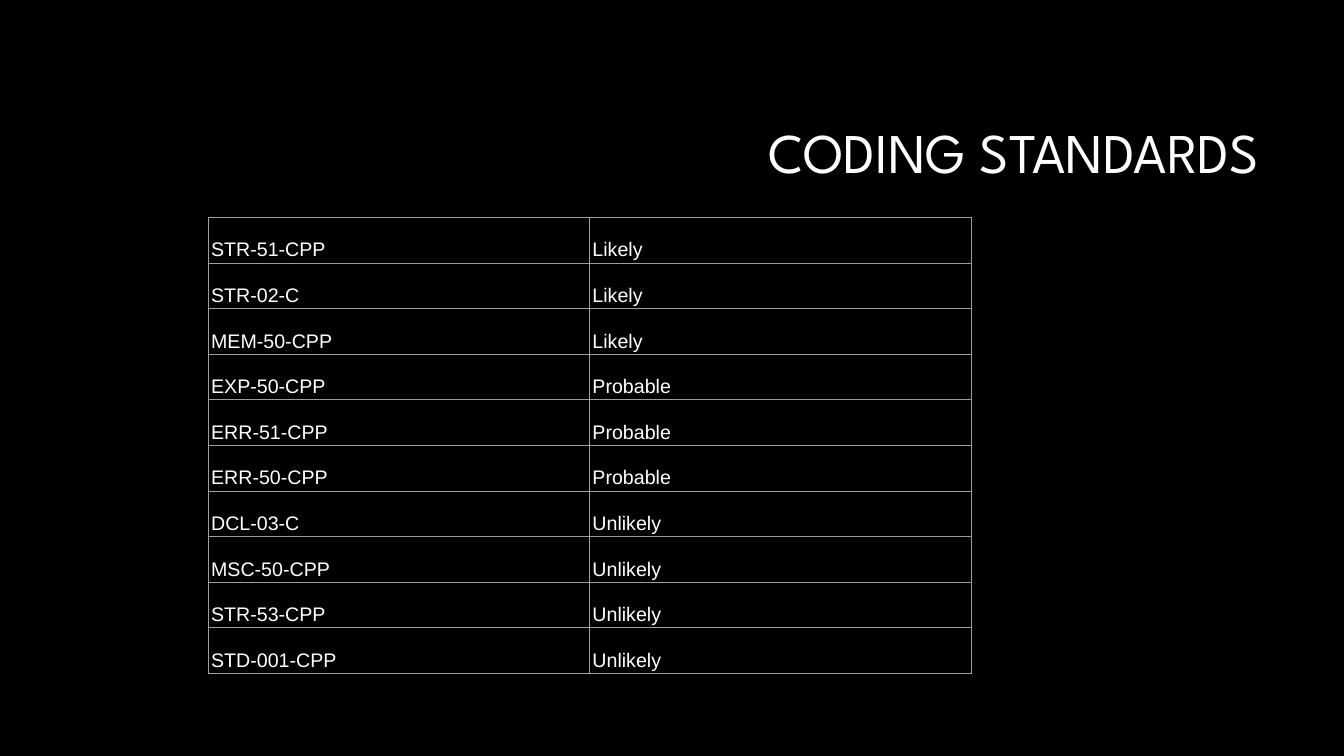
from lxml import etree
from pptx import Presentation
from pptx.dml.color import RGBColor
from pptx.enum.text import MSO_ANCHOR, PP_ALIGN
from pptx.oxml.ns import qn
from pptx.util import Cm, Pt

MIDDLE, BOTTOM = MSO_ANCHOR.MIDDLE, MSO_ANCHOR.BOTTOM
RIGHT = PP_ALIGN.RIGHT
COLORS = {"background": "000000", "text": "FFFFFF", "border": "9E9E9E"}
BORDER_WIDTH = Pt(0.75)
TITLE_ONLY = 5

STANDARDS = [
    ("STR-51-CPP", "Likely"),
    ("STR-02-C", "Likely"),
    ("MEM-50-CPP", "Likely"),
    ("EXP-50-CPP", "Probable"),
    ("ERR-51-CPP", "Probable"),
    ("ERR-50-CPP", "Probable"),
    ("DCL-03-C", "Unlikely"),
    ("MSC-50-CPP", "Unlikely"),
    ("STR-53-CPP", "Unlikely"),
    ("STD-001-CPP", "Unlikely"),
]
COLUMN_WIDTH, ROW_HEIGHT = Cm(9.61), Cm(1.15)


def set_font(paragraph, name, size):
    paragraph.font.name = name
    paragraph.font.size = Pt(size)
    paragraph.font.color.rgb = RGBColor.from_string(COLORS["text"])


def add_borders(cell):
    properties = cell._tc.get_or_add_tcPr()
    for side in ("a:lnL", "a:lnR", "a:lnT", "a:lnB"):
        line = etree.SubElement(properties, qn(side), w=str(BORDER_WIDTH))
        line_fill = etree.SubElement(line, qn("a:solidFill"))
        etree.SubElement(line_fill, qn("a:srgbClr"), val=COLORS["border"])


prs = Presentation()
prs.slide_width, prs.slide_height = Cm(33.87), Cm(19.05)
slide = prs.slides.add_slide(prs.slide_layouts[TITLE_ONLY])
slide.background.fill.solid()
slide.background.fill.fore_color.rgb = RGBColor.from_string(COLORS["background"])

# Title
title = slide.shapes.title
title_box = {"left": Cm(8.05), "top": Cm(2.13), "width": Cm(23.93), "height": Cm(3.58)}
for attribute, value in title_box.items():
    setattr(title, attribute, value)
title.text_frame.text = "CODING STANDARDS"
title.text_frame.vertical_anchor = MIDDLE
heading = title.text_frame.paragraphs[0]
heading.alignment = RIGHT
heading.line_spacing = 0.9
set_font(heading, "League Spartan", 40)

# Standards and their likelihood
standards_table = slide.shapes.add_table(
    len(STANDARDS), 2, Cm(5.25), Cm(5.48),
    2 * COLUMN_WIDTH, len(STANDARDS) * ROW_HEIGHT,
).table
standards_table.first_row = False
standards_table.horz_banding = False
for column in standards_table.columns:
    column.width = COLUMN_WIDTH

cell_format = {
    "vertical_anchor": BOTTOM,
    "margin_left": Cm(0.07),
    "margin_right": Cm(0.07),
    "margin_top": Cm(0.05),
    "margin_bottom": Cm(0.05),
}
for row, standard in zip(standards_table.rows, STANDARDS):
    row.height = ROW_HEIGHT
    for cell, label in zip(row.cells, standard):
        cell.text = label
        for attribute, value in cell_format.items():
            setattr(cell, attribute, value)
        set_font(cell.text_frame.paragraphs[0], "Arial", 14)
        add_borders(cell)
        cell.fill.background()

prs.save("out.pptx")
